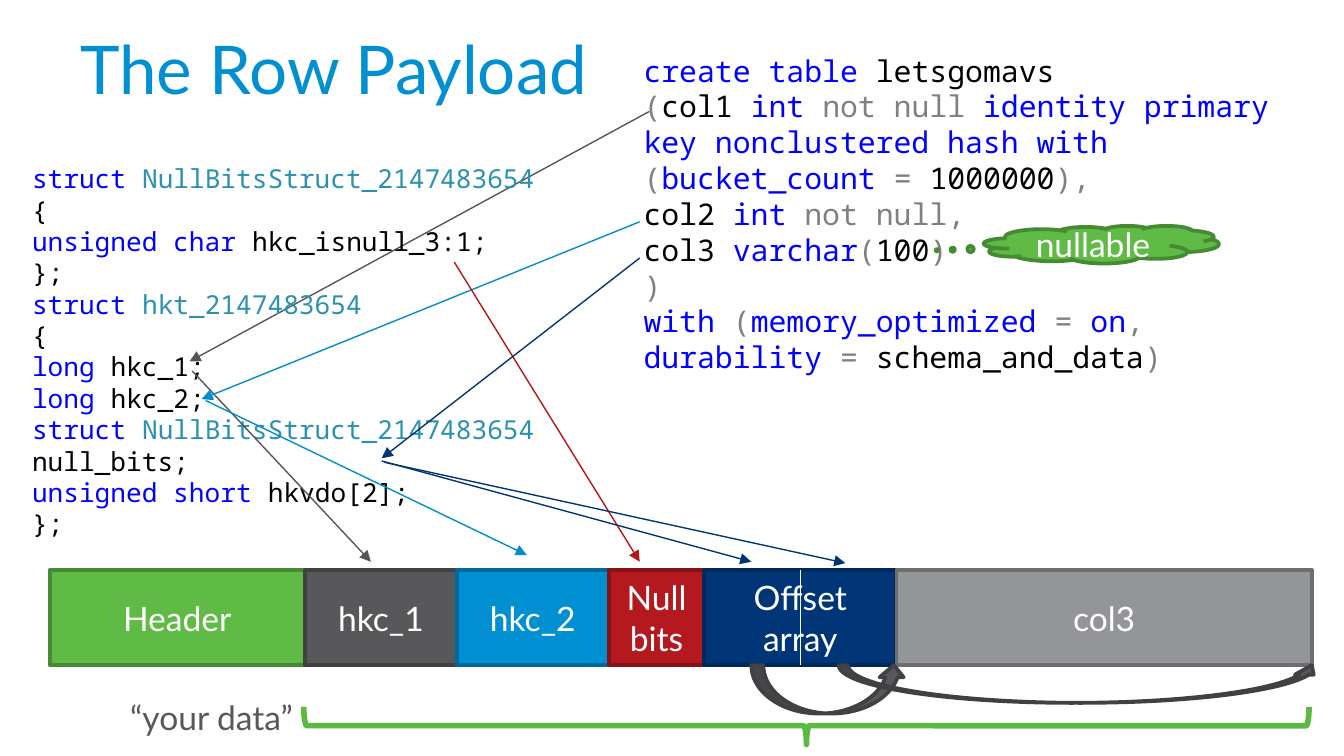
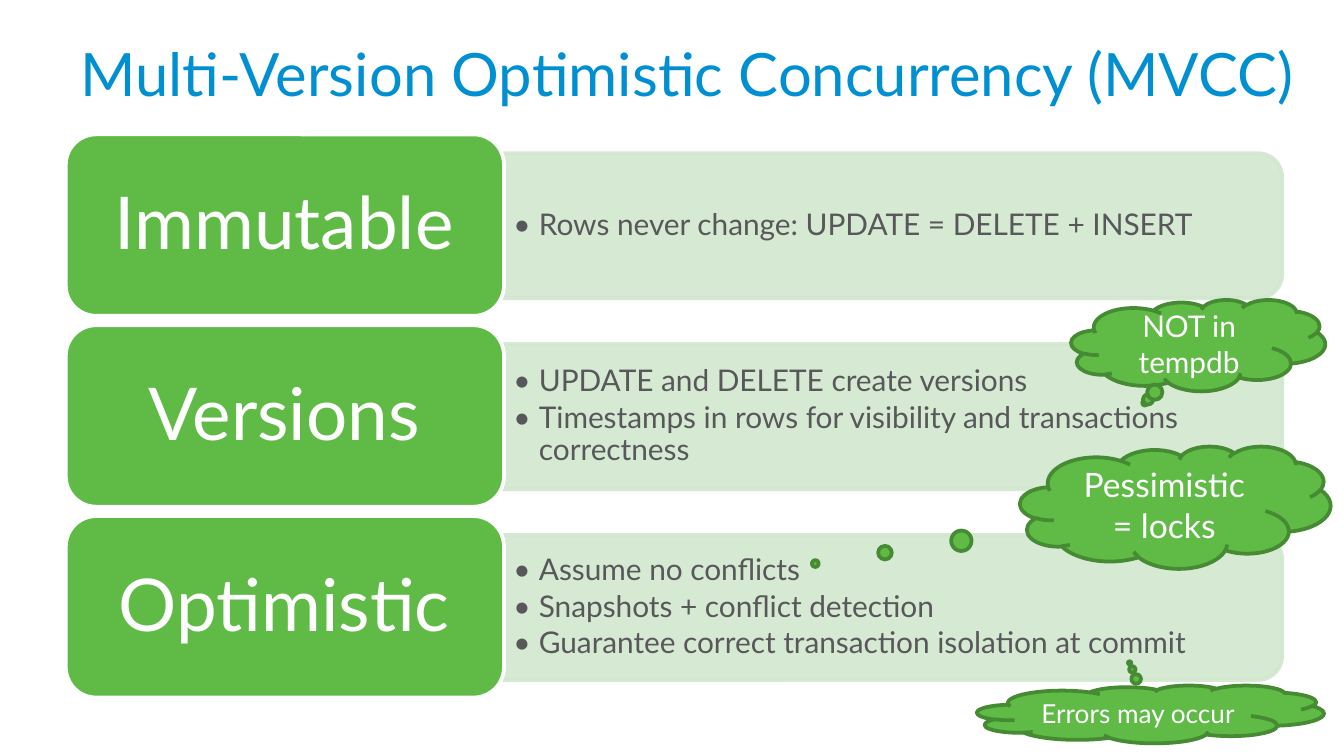
from lxml.etree import SubElement
from pptx import Presentation
from pptx.dml.color import RGBColor
from pptx.enum.shapes import MSO_CONNECTOR, MSO_SHAPE
from pptx.enum.text import MSO_ANCHOR, MSO_AUTO_SIZE, PP_ALIGN
from pptx.oxml.ns import qn
from pptx.util import Inches, Pt

COLORS = {
    "title": "0090D2", "text": "58585A", "white": "FFFFFF", "black": "000000",
    "green": "5FBB46", "green_edge": "468A34", "brace": "5BBA42", "pale": "D2E7CF",
    "dark": "58585A", "dark_edge": "414143", "blue": "0090D2", "blue_edge": "006B9B",
    "red": "B3191E", "red_edge": "841216", "navy": "003677", "navy_edge": "002858",
    "gray": "939598", "gray_edge": "6D6E70",
    "gray_arrow": "565658", "blue_arrow": "008DCD", "red_arrow": "B3151A", "navy_arrow": "003574",
    "keyword": "0000FF", "symbol": "808080", "type": "2B91AF",
}
FONT, MONO = "Lato", "Noto Sans Mono"

K, S, T, B = "keyword", "symbol", "type", "black"
TABLE_SQL = [
    [(K, "create table"), (B, " letsgomavs")],
    [(S, "("), (B, "col1 "), (K, "int "), (S, "not null "),
     (K, "identity primary key nonclustered hash with "), (S, "("), (K, "bucket_count "),
     (S, "="), (B, " 1000000"), (S, "),")],
    [(B, "col2 "), (K, "int "), (S, "not null,")],
    [(B, "col3 "), (K, "varchar"), (S, "("), (B, "100"), (S, ")")],
    [(S, ")")],
    [(K, "with "), (S, "("), (K, "memory_optimized "), (S, "= "), (K, "on"), (S, ", "),
     (K, "durability "), (S, "="), (B, " schema_and_data"), (S, ")")],
]
ROW_STRUCT = [
    [(K, "struct "), (T, "NullBitsStruct_2147483654")],
    [(B, "{")],
    [(K, "unsigned char"), (B, " hkc_isnull_3:1;")],
    [(B, "};")],
    [(K, "struct "), (T, "hkt_2147483654")],
    [(B, "{")],
    [(K, "long"), (B, " hkc_1;")],
    [(K, "long"), (B, " hkc_2;")],
    [(K, "struct "), (T, "NullBitsStruct_2147483654"), (B, " null_bits;")],
    [(K, "unsigned short"), (B, " hkvdo[2];")],
    [(B, "};")],
]
ROW_FIELDS = [
    ("Header", 1.9, "green"), ("hkc_1", 1.13, "dark"), ("hkc_2", 1.13, "blue"),
    ("Null bits", 0.71, "red"), ("Offset array", 1.43, "navy"), ("col3", 3.09, "gray"),
]
ARROWS = [
    ((1.43, 2.76), (2.76, 4.18), "gray_arrow"),
    ((4.76, 1.65), (1.5, 2.97), "blue_arrow"),
    ((1.53, 2.98), (3.92, 4.13), "blue_arrow"),
    ((3.38, 1.95), (4.76, 4.18), "red_arrow"),
    ((2.84, 3.43), (5.59, 4.18), "navy_arrow"),
    ((2.86, 3.44), (6.29, 4.19), "navy_arrow"),
    ((4.76, 1.92), (2.84, 3.41), "navy_arrow"),
]
PRINCIPLES = [
    ("Immutable", ["Rows never change: UPDATE = DELETE + INSERT"]),
    ("Versions", ["UPDATE and DELETE create versions",
                  "Timestamps in rows for visibility and transactions correctness"]),
    ("Optimistic", ["Assume no conflicts", "Snapshots + conflict detection",
                    "Guarantee correct transaction isolation at commit"]),
]


def rgb(name):
    """Return the named colour."""
    return RGBColor.from_string(COLORS[name])


def write(tf, paras, size=18, font=FONT, color="white", align=None, anchor=MSO_ANCHOR.TOP,
          spacing=None, after=None, bullet=False, insets=None, wrap=True, grow=False):
    """Fill a text frame; a paragraph is a string or a list of (colour, text) runs."""
    tf.word_wrap = wrap
    tf.vertical_anchor = anchor
    if grow:
        tf.auto_size = MSO_AUTO_SIZE.SHAPE_TO_FIT_TEXT
    if insets:
        tf.margin_left = tf.margin_right = Inches(insets[0])
        tf.margin_top = tf.margin_bottom = Inches(insets[1])
    for i, para in enumerate(paras):
        p = tf.add_paragraph() if i else tf.paragraphs[0]
        if bullet:
            pPr = p._p.get_or_add_pPr()
            pPr.set("marL", str(Inches(0.19)))
            pPr.set("indent", str(-Inches(0.19)))
            SubElement(pPr, qn("a:buFont")).set("typeface", font)
            SubElement(pPr, qn("a:buChar")).set("char", "•")
        p.alignment = align
        p.line_spacing = spacing
        p.space_after = after
        for run_color, text in [(color, para)] if isinstance(para, str) else para:
            r = p.add_run()
            r.text = text
            r.font.size = Pt(size)
            r.font.name = font
            r.font.color.rgb = rgb(run_color)


def add_text(shapes, box, paras, **fmt):
    """Add a text box."""
    write(shapes.add_textbox(*map(Inches, box)).text_frame, paras, **fmt)


def add_title(s, text, size, width):
    """Add the slide title."""
    add_text(s.shapes, (0.5, 0.27, width, 0.67), [text], size=size, color="title", spacing=Pt(35))


def add_box(shapes, kind, box, fill, line, width=2, text=None, adj=(), rotation=0, size=18):
    """Add a preset shape with optional centred text."""
    sp = shapes.add_shape(kind, *map(Inches, box))
    sp.shadow.inherit = False
    sp.rotation = rotation
    for i, value in enumerate(adj):
        sp.adjustments[i] = value
    if fill:
        sp.fill.solid()
        sp.fill.fore_color.rgb = rgb(fill)
    else:
        sp.fill.background()
    sp.line.color.rgb = rgb(line)
    sp.line.width = Pt(width)
    if text:
        write(sp.text_frame, [text], size=size, align=PP_ALIGN.CENTER, anchor=MSO_ANCHOR.MIDDLE)
    return sp


def add_cloud(s, box, text, size, adj=(-0.21, 0.63)):
    """Add a green thought cloud whose trail ends at adj."""
    add_box(s.shapes, MSO_SHAPE.CLOUD_CALLOUT, box, "green", "green_edge",
            text=text, size=size, adj=adj)


def add_line(s, start, end, color, arrow=True):
    """Add a thin straight line, by default with an arrowhead at its end."""
    cx = s.shapes.add_connector(MSO_CONNECTOR.STRAIGHT, *map(Inches, start + end))
    cx.line.color.rgb = rgb(color)
    cx.line.width = Pt(0.75)
    if arrow:
        SubElement(cx.line._get_or_add_ln(), qn("a:tailEnd")).set("type", "triangle")
    SubElement(cx._element.spPr, qn("a:effectLst"))
    return cx


def add_row_fields(s, left=0.37, top=4.24, height=0.71):
    """Add the fields of the row side by side and return them by name."""
    fields = {}
    for name, width, color in ROW_FIELDS:
        fields[name] = add_box(s.shapes, MSO_SHAPE.RECTANGLE, (left, top, width, height),
                               color, color + "_edge", text=name)
        left += width
    return fields


def add_principle(shapes, top, name, points):
    """Add one principle: a pale bar of points and a green label."""
    bar = add_box(shapes, MSO_SHAPE.ROUND_2_SAME_RECTANGLE, (6.1, top - 2.22, 1.08, 5.8),
                  "pale", "pale", rotation=90)
    for clr in bar._element.spPr.iter(qn("a:srgbClr")):
        SubElement(clr, qn("a:alpha")).set("val", "90000")
    add_text(shapes, (3.75, top + 0.19, 5.74, 0.98), points, size=16, color="text", bullet=True,
             spacing=0.9, after=Pt(2.4), anchor=MSO_ANCHOR.MIDDLE, insets=(0.07, 0.03))
    add_box(shapes, MSO_SHAPE.ROUNDED_RECTANGLE, (0.49, top, 3.26, 1.35), "green", "white")
    add_text(shapes, (0.55, top + 0.07, 3.13, 1.22), [name], size=39, align=PP_ALIGN.CENTER,
             spacing=0.9, anchor=MSO_ANCHOR.MIDDLE, insets=(0.16, 0.08))


def build_payload(s):
    """Build the row payload slide."""
    add_line(s, (4.83, 0.83), (1.41, 2.69), "gray_arrow")
    add_title(s, "The Row Payload", 36, 9)
    add_text(s.shapes, (4.69, 0.34, 5, 2.52), TABLE_SQL, size=16, font=MONO, grow=True)
    add_text(s.shapes, (0.14, 1.16, 5, 2.69), ROW_STRUCT, size=14, font=MONO, grow=True)
    fields = add_row_fields(s)
    for start, end, color in ARROWS:
        add_line(s, start, end, color)
    divider = add_line(s, (5.95, 4.24), (5.95, 4.95), "white", arrow=False)
    divider.begin_connect(fields["Offset array"], 0)
    divider.end_connect(fields["Offset array"], 2)
    for box in ((5.59, 4.95, 1.15, 0.36), (6.24, 4.95, 3.59, 0.28)):
        add_box(s.shapes, MSO_SHAPE.CURVED_UP_ARROW, box, "dark", "dark_edge")
    add_box(s.shapes, MSO_SHAPE.RIGHT_BRACE, (5.86, 1.66, 0.28, 7.48), None, "brace",
            width=3, adj=(0.08, 0.5), rotation=90)
    add_text(s.shapes, (0.87, 5.14, 1.45, 0.4), ["“your data”"], color="text",
             wrap=False, grow=True)
    add_cloud(s, (7.32, 1.68, 1.75, 0.28), "nullable", 18, (-0.7, 0.15))


def build_mvcc(s):
    """Build the concurrency slide."""
    add_title(s, "Multi-Version Optimistic Concurrency (MVCC)", 32, 9.3)
    group = s.shapes.add_group_shape()
    for i, (name, points) in enumerate(PRINCIPLES):
        add_principle(group.shapes, 1 + 1.42 * i, name, points)
    add_cloud(s, (7.97, 2.23, 1.89, 0.68), "NOT in tempdb", 16)
    add_cloud(s, (7.59, 3.32, 2.31, 0.91), "Pessimistic = locks", 18, (-1.16, 0.46))
    add_cloud(s, (7.27, 5.1, 2.58, 0.43), "Errors may occur", 14, (-0.06, -0.89))


def main():
    """Build and save the presentation."""
    prs = Presentation()
    prs.slide_width = Inches(10)
    prs.slide_height = prs.slide_width * 9 // 16
    for build in (build_payload, build_mvcc):
        build(prs.slides.add_slide(prs.slide_layouts[6]))
    prs.save("out.pptx")


if __name__ == "__main__":
    main()
